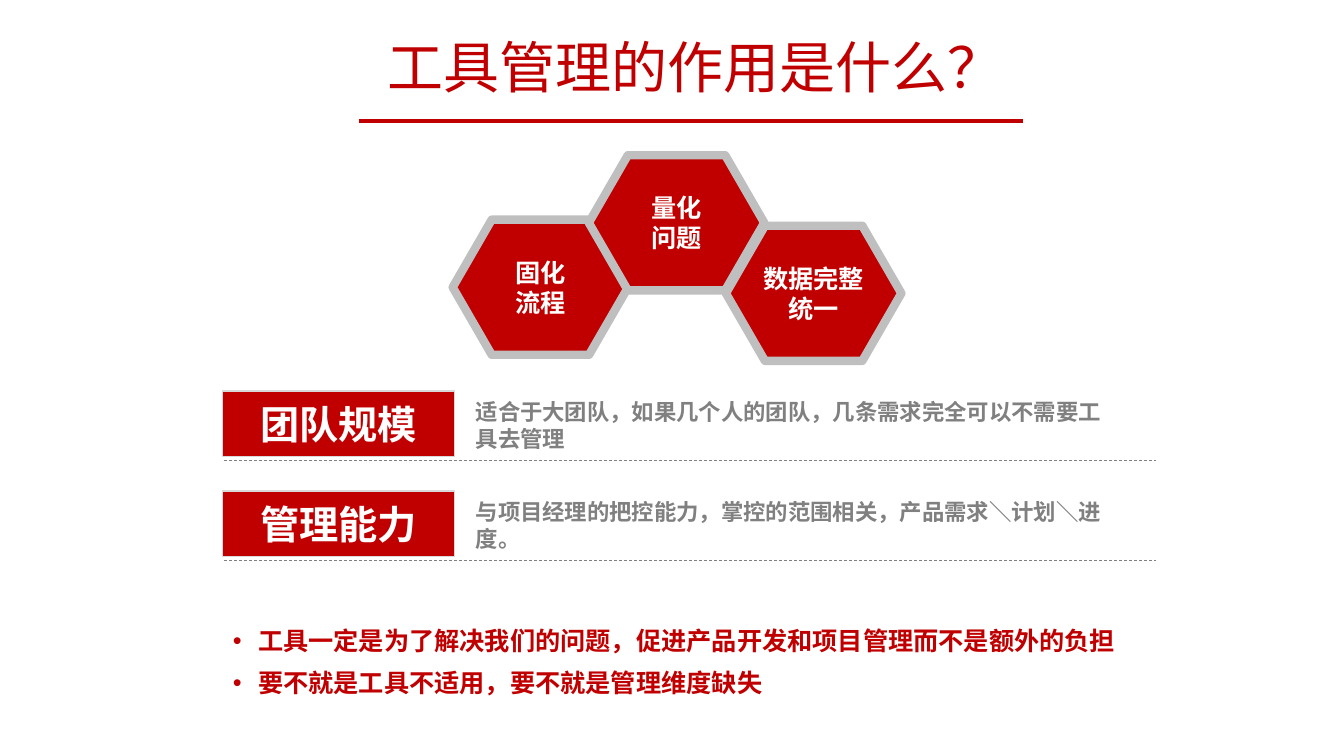
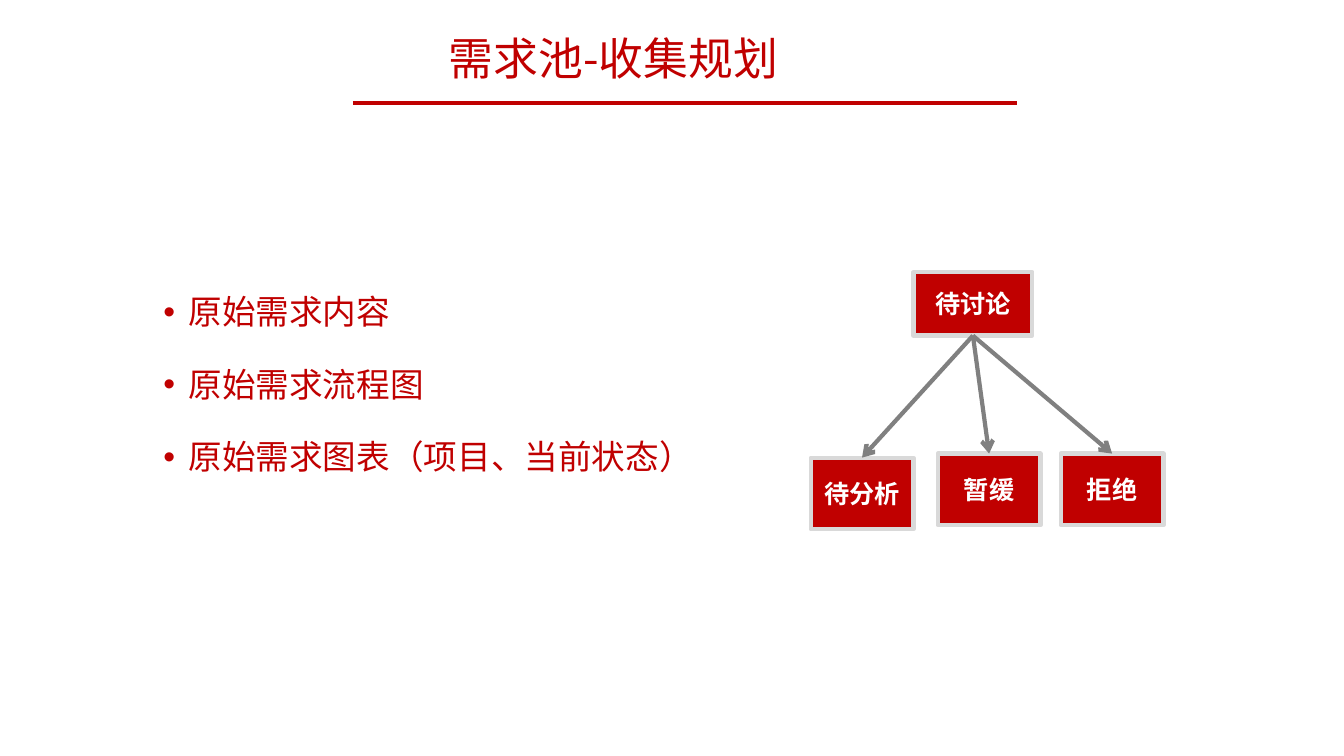
from lxml import etree
from pptx import Presentation
from pptx.dml.color import RGBColor
from pptx.enum import dml, shapes, text
from pptx.oxml import ns
from pptx.util import Inches, Pt

RED, WHITE, GREY = "C00000", "FFFFFF", "808080"
SILVER, PALE = "BFBFBF", "D9D9D9"
LATIN, HAN = "Calibri", "Noto Sans CJK SC"
CENTER, LEFT = text.PP_ALIGN.CENTER, text.PP_ALIGN.LEFT
HEXAGON, RECTANGLE = shapes.MSO_SHAPE.HEXAGON, shapes.MSO_SHAPE.RECTANGLE


def rgb(hex_color):
    return RGBColor.from_string(hex_color)


def place(shape, box):
    for side, length in zip(("left", "top", "width", "height"), box):
        setattr(shape, side, Inches(length))


def write(frame, lines, color, align=LEFT, font=None, **paragraph_format):
    """Fill a text frame, one paragraph per line; the first has no space before."""
    for index, line in enumerate(lines):
        paragraph = frame.paragraphs[0] if index == 0 else frame.add_paragraph()
        paragraph.text = line
        paragraph.alignment = align
        for key, value in paragraph_format.items():
            setattr(paragraph, key, value)
        if index == 0:
            paragraph.space_before = Pt(0)
        for run in paragraph.runs:
            for key, value in (font or {}).items():
                setattr(run.font, key, value)
            run.font.color.rgb = rgb(color)


def add_line(slide, start, end, color, width, dash=None, arrow=False):
    line = slide.shapes.add_connector(
        shapes.MSO_CONNECTOR.STRAIGHT, *map(Inches, (*start, *end)))
    line.line.color.rgb = rgb(color)
    line.line.width = Pt(width)
    if dash:
        line.line.dash_style = dash
    properties = line.line._get_or_add_ln()
    if arrow:
        etree.SubElement(properties, ns.qn("a:tailEnd"), type="arrow")
    etree.SubElement(properties.getparent(), ns.qn("a:effectLst"))
    return line


def add_label(slide, kind, box, lines, border, border_width, size=18, font=LATIN):
    label = slide.shapes.add_shape(kind, *map(Inches, box))
    label.shadow.inherit = False
    label.fill.solid()
    label.fill.fore_color.rgb = rgb(RED)
    label.line.color.rgb = rgb(border)
    label.line.width = Pt(border_width)
    label.text_frame.vertical_anchor = text.MSO_ANCHOR.MIDDLE
    write(label.text_frame, lines, WHITE, CENTER,
          {"name": font, "size": Pt(size), "bold": True})
    return label


def add_title(slide, title, box, size, align, rule_start):
    place(slide.shapes.title, box)
    frame = slide.shapes.title.text_frame
    frame.auto_size = text.MSO_AUTO_SIZE.NONE
    frame.vertical_anchor = text.MSO_ANCHOR.MIDDLE
    write(frame, [title], RED, align, {"name": HAN, "size": Pt(size)}, line_spacing=0.9)
    left, top = rule_start
    add_line(slide, rule_start, (left + 6.59, top), RED, 3)


def add_bullets(slide, lines, box, gap, font):
    body = slide.placeholders[1]
    place(body, box)
    frame = body.text_frame
    frame.auto_size = text.MSO_AUTO_SIZE.NONE
    write(frame, lines, RED, LEFT, font, line_spacing=0.9, space_before=Pt(gap))
    for paragraph in frame.paragraphs:
        properties = paragraph._p.get_or_add_pPr()
        properties.set("marL", str(Inches(0.25)))
        properties.set("indent", str(Inches(-0.25)))


def add_hexagons(slide, left, top):
    benefits = [((0, 0.64), ["固化", "流程"]),
                ((1.35, 0), ["量化", "问题"]),
                ((2.71, 0.7), ["数据完整", "统一"])]
    for (dx, dy), lines in benefits:
        hexagon = add_label(slide, HEXAGON, (left + dx, top + dy, 1.74, 1.34),
                            lines, SILVER, 6, font=HAN)
        hexagon.adjustments[0] = 0.289
        hexagon.adjustments[1] = 1.155
        hexagon.text_frame.word_wrap = False


def add_criterion(slide, left, top, name, description):
    """Red name box, its description and the dashed line below both."""
    note = slide.shapes.add_textbox(
        *map(Inches, (left + 2.41, top + 0.02, 6.5, 0.61)))
    note.text_frame.word_wrap = True
    write(note.text_frame, [description], GREY,
          font={"name": LATIN, "size": Pt(16), "bold": True})
    add_label(slide, RECTANGLE, (left, top, 2.3, 0.65), [name], PALE, 1, size=28)
    add_line(slide, (left + 0.01, top + 0.69), (left + 9.26, top + 0.69),
             GREY, 0.5, dash=dml.MSO_LINE.DASH)


def add_status_tree(slide, left, top):
    pending = add_label(slide, RECTANGLE, (left + 1.02, top, 1.18, 0.63),
                        ["待讨论"], PALE, 3)
    outcomes = [("待分析", 0, 1.84), ("暂缓", 1.26, 1.8), ("拒绝", 2.48, 1.8)]
    for name, dx, dy in outcomes:
        outcome = add_label(slide, RECTANGLE, (left + dx, top + dy, 1.02, 0.71),
                            [name], PALE, 3)
        arrow = add_line(slide, (left, top), (left + dx, top + dy), GREY, 3, arrow=True)
        arrow.begin_connect(pending, 2)
        arrow.end_connect(outcome, 0)


def build_purpose_slide(slide):
    add_title(slide, "工具管理的作用是什么？", (2.4, 0.2, 9, 1), 40, CENTER, (3.56, 1.2))
    add_hexagons(slide, 4.49, 1.54)
    criteria = [
        ("团队规模", "适合于大团队，如果几个人的团队，几条需求完全可以不需要工具去管理"),
        ("管理能力", "与项目经理的把控能力，掌控的范围相关，产品需求＼计划＼进度。")]
    for row, (name, description) in enumerate(criteria):
        add_criterion(slide, 2.21, 3.88 + 0.99 * row, name, description)
    add_bullets(slide, ["工具一定是为了解决我们的问题，促进产品开发和项目管理而不是额外的负担",
                        "要不就是工具不适用，要不就是管理维度缺失"],
                (2.21, 6.19, 9.53, 1.19), 10,
                {"name": LATIN, "size": Pt(18), "bold": True})


def build_pool_slide(slide):
    add_title(slide, "需求池-收集规划", (4.35, 0.11, 9, 1), 32, LEFT, (3.5, 1.02))
    add_bullets(slide, ["原始需求内容", "原始需求流程图", "原始需求图表（项目、当前状态）"],
                (1.52, 2.88, 6.4, 2.13), 26, {"name": HAN, "size": Pt(24)})
    add_status_tree(slide, 8.04, 2.7)


def main():
    deck = Presentation()
    deck.slide_width, deck.slide_height = Inches(13.33), Inches(7.5)
    for build in (build_purpose_slide, build_pool_slide):
        build(deck.slides.add_slide(deck.slide_layouts[1]))
    deck.save("out.pptx")


if __name__ == "__main__":
    main()
